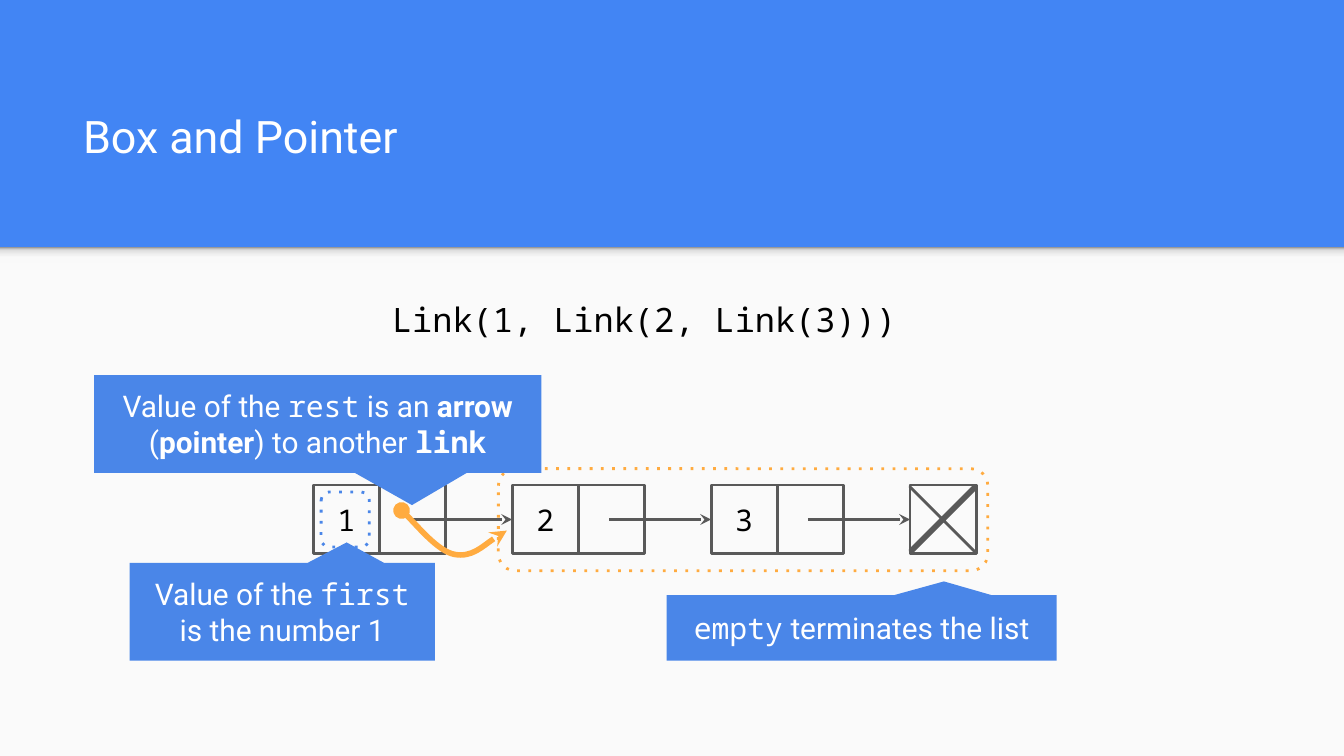
"""Build the slide explaining box-and-pointer diagrams of linked lists."""
from dataclasses import dataclass

from lxml.etree import SubElement
from pptx import Presentation
from pptx.dml.color import RGBColor
from pptx.enum.shapes import MSO_CONNECTOR, MSO_SHAPE
from pptx.enum.text import MSO_ANCHOR, MSO_AUTO_SIZE, PP_ALIGN
from pptx.oxml.ns import qn
from pptx.util import Cm, Pt


@dataclass(frozen=True)
class Theme:
    header: str = "4285F4"
    panel: str = "FAFAFA"
    callout: str = "4A86E8"
    accent: str = "FFAB40"
    outline: str = "595959"
    ink: str = "000000"
    light: str = "FFFFFF"
    shadow: tuple = ((0, "F9F9F9"), (36, "F9F9F9"), (80, "DEDEDE"), (100, "999999"))
    sans: str = "Roboto"
    mono: str = "Noto Sans Mono"
    title: int = 24
    code: int = 18
    body: int = 16
    thin: float = 1.5
    thick: float = 3


theme = Theme()


def add_box(kind, x, y, w, h, fill=None, line=None):
    sp = slide.shapes.add_shape(kind, Cm(x), Cm(y), Cm(w), Cm(h))
    sp.shadow.inherit = False
    if fill:
        sp.fill.solid()
        sp.fill.fore_color.rgb = RGBColor.from_string(fill)
    else:
        sp.fill.background()
    if line:
        sp.line.color.rgb = RGBColor.from_string(line)
        sp.line.width = Pt(theme.thin)
    else:
        sp.line.fill.background()
    return sp


def write(sp, runs, size, color, align=PP_ALIGN.CENTER, anchor=MSO_ANCHOR.MIDDLE):
    tf = sp.text_frame
    tf.word_wrap = True
    tf.auto_size = MSO_AUTO_SIZE.NONE
    tf.vertical_anchor = anchor
    tf.margin_left = tf.margin_right = tf.margin_top = tf.margin_bottom = Cm(0.25)
    p = tf.paragraphs[0]
    p.alignment = align
    for text, font, bold in runs:
        r = p.add_run()
        r.text = text
        r.font.name = font
        r.font.size = Pt(size)
        r.font.bold = bold
        r.font.color.rgb = RGBColor.from_string(color)


prs = Presentation()
prs.slide_width, prs.slide_height = Cm(25.4), Cm(14.29)
slide = prs.slides.add_slide(prs.slide_layouts[5])
slide.background.fill.solid()
slide.background.fill.fore_color.rgb = RGBColor.from_string(theme.header)

title = slide.shapes.title
title.left, title.top, title.width, title.height = Cm(1.32), Cm(1.19), Cm(22.83), Cm(2.13)
write(title, [("Box and Pointer", theme.sans, False)], theme.title, theme.light,
      PP_ALIGN.LEFT, MSO_ANCHOR.BOTTOM)

add_box(MSO_SHAPE.RECTANGLE, 0, 4.67, 25.4, 9.62, theme.panel)
shadow = add_box(MSO_SHAPE.RECTANGLE, 0, 4.67, 25.4, 0.3)
shadow.fill.gradient()
shadow.fill.gradient_angle = 90
stops = shadow.element.spPr.find(qn("a:gradFill")).find(qn("a:gsLst"))
stops.clear()
for pos, color in theme.shadow:
    stop = SubElement(stops, qn("a:gs"), pos=str(pos * 1000))
    SubElement(stop, qn("a:srgbClr"), val=color)

left, top, cell_w, cell_h, pitch = 5.92, 9.17, 1.25, 1.3, 3.76
firsts = []
for i, value in enumerate(("1", "2", "3", None)):
    x = left + i * pitch
    sp = add_box(MSO_SHAPE.RECTANGLE, x, top, cell_w, cell_h, line=theme.outline)
    firsts.append(sp)
    if value:
        write(sp, [(value, theme.mono, False)], theme.body, theme.ink)
        add_box(MSO_SHAPE.RECTANGLE, x + cell_w, top, cell_w, cell_h, line=theme.outline)

for i, target in enumerate(firsts[1:]):
    x, y = left + i * pitch + 1.83, top + cell_h / 2
    arrow = slide.shapes.add_connector(MSO_CONNECTOR.STRAIGHT, Cm(x), Cm(y), Cm(x + 1.93), Cm(y))
    arrow.end_connect(target, 1)
    arrow.line.color.rgb = RGBColor.from_string(theme.outline)
    arrow.line.width = Pt(theme.thin)
    SubElement(arrow.element.spPr.find(qn("a:ln")), qn("a:tailEnd"), type="stealth")
    SubElement(arrow.element.spPr, qn("a:effectLst"))

cross = add_box(MSO_SHAPE.CROSS, 16.94, 8.97, 1.75, 1.7, line=theme.outline)
cross.adjustments[0] = 0.5
cross.rotation = 45

for color, *area in ((theme.callout, 6.07, 9.3, 0.91, 1.04), (theme.accent, 9.42, 8.86, 9.25, 1.93)):
    sp = add_box(MSO_SHAPE.ROUNDED_RECTANGLE, *area, line=color)
    SubElement(sp.element.spPr.find(qn("a:ln")), qn("a:prstDash"), val="dot")

callouts = (
    ((12.6, 11.25, 7.37, 1.24), -0.709,
     [("empty", theme.mono, False), (" terminates the list", theme.sans, False)]),
    ((2.45, 10.64, 5.77, 1.85), -0.709,
     [("Value of the ", theme.sans, False), ("first", theme.mono, False),
      (" is the number 1", theme.sans, False)]),
    ((1.78, 7.09, 8.45, 1.85), 0.829,
     [("Value of the ", theme.sans, False), ("rest", theme.mono, False),
      (" is an ", theme.sans, False), ("arrow", theme.sans, True),
      (" (", theme.sans, False), ("pointer", theme.sans, True),
      (") to another ", theme.sans, False), ("link", theme.mono, True)]),
)
for area, tip, runs in callouts:
    sp = add_box(MSO_SHAPE.ROUNDED_RECTANGULAR_CALLOUT, *area, theme.callout)
    for i, value in enumerate((0.211, tip, 0)):
        sp.adjustments[i] = value
    write(sp, runs, theme.body, theme.light)

controls = [(7.77, 9.8), (8.28, 10.42), (8.59, 10.48), (8.92, 10.54), (9.4, 10.11), (9.58, 10.03)]
fb = slide.shapes.build_freeform(Cm(7.59), Cm(9.65))
fb.add_line_segments([(Cm(x), Cm(y)) for x, y in controls], close=False)
pointer = fb.convert_to_shape()
pointer.shadow.inherit = False
pointer.fill.background()
pointer.line.color.rgb = RGBColor.from_string(theme.accent)
pointer.line.width = Pt(theme.thick)
ln = pointer.element.spPr.find(qn("a:ln"))
SubElement(ln, qn("a:headEnd"), type="oval")
SubElement(ln, qn("a:tailEnd"), type="stealth")
outline = next(pointer.element.iter(qn("a:path")))
segments = outline.findall(qn("a:lnTo"))
for i in range(0, len(segments), 3):
    curve = SubElement(outline, qn("a:cubicBezTo"))
    for segment in segments[i:i + 3]:
        curve.append(segment[0])
        outline.remove(segment)

code = slide.shapes.add_textbox(Cm(6.78), Cm(5.41), Cm(14.5), Cm(0.97))
write(code, [("Link(1, Link(2, Link(3)))", theme.mono, False)], theme.code, theme.ink,
      PP_ALIGN.LEFT, MSO_ANCHOR.TOP)
code.text_frame.margin_left = Cm(0.63)

prs.save("out.pptx")
